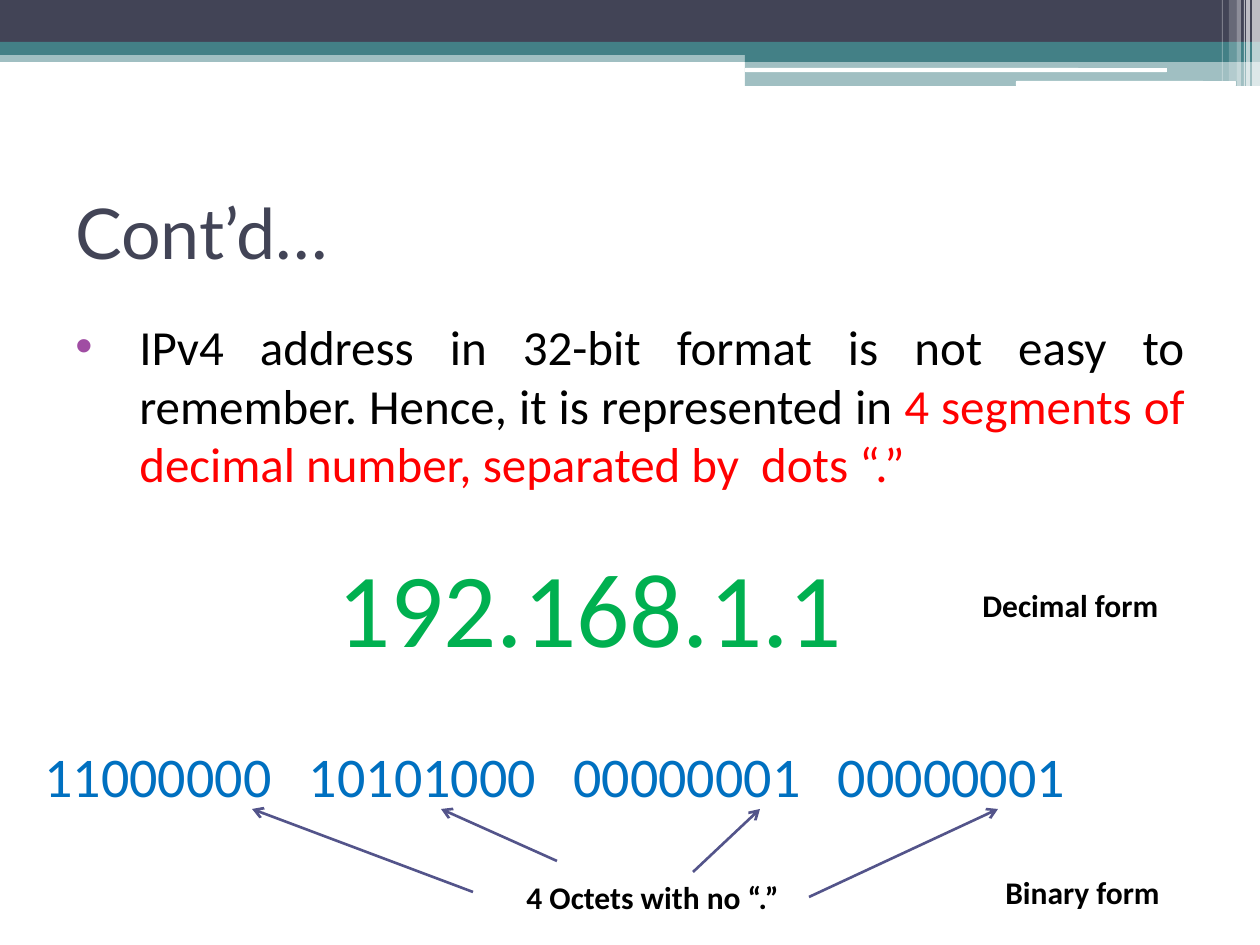
from dataclasses import dataclass, field

import pptx
import pptx.dml.color
import pptx.enum.shapes
import pptx.enum.text
import pptx.oxml.ns
import pptx.util
from lxml import etree

RGB = pptx.dml.color.RGBColor
KIND = pptx.enum.shapes.MSO_SHAPE
ALIGN = pptx.enum.text.PP_ALIGN
ANCHOR = pptx.enum.text.MSO_ANCHOR
FIT = pptx.enum.text.MSO_AUTO_SIZE
qn = pptx.oxml.ns.qn

SCALE = 914400 / 126  # EMU in one px

SLATE = RGB(0x42, 0x44, 0x56)
TEAL = RGB(0x43, 0x80, 0x86)
WHITE = RGB(0xFF, 0xFF, 0xFF)
BLACK = RGB(0x00, 0x00, 0x00)
RED = RGB(0xFF, 0x00, 0x00)
GREEN = RGB(0x00, 0xB0, 0x50)
BLUE = RGB(0x00, 0x70, 0xC0)
INDIGO = RGB(0x53, 0x54, 0x8A)


@dataclass
class Band:
    box: tuple
    color: RGB
    alpha: int = 100
    kind: int = KIND.RECTANGLE


@dataclass
class Label:
    box: tuple
    runs: list  # pairs of text and colour
    font: dict
    frame: dict = field(default_factory=dict)


def emu(*vals: float) -> list:
    return [pptx.util.Emu(round(v * SCALE)) for v in vals]


def sub(node, tag: str, **attrs):
    return etree.SubElement(node, qn(tag), **attrs)


def apply(obj, vals: dict) -> None:
    for name, val in vals.items():
        setattr(obj, name, val)


def face(size: int, name: str = "Calibri", bold: bool = False) -> dict:
    return {"size": pptx.util.Pt(size), "name": name, "bold": bold}


def draw_band(slide, band: Band) -> None:
    shape = slide.shapes.add_shape(band.kind, *emu(*band.box))
    shape.shadow.inherit = False
    shape.line.fill.background()
    shape.fill.solid()
    shape.fill.fore_color.rgb = band.color
    if band.alpha < 100:
        tint = shape.fill._xPr.find(qn("a:solidFill"))[0]
        sub(tint, "a:alpha", val=str(band.alpha * 1000))


def draw_label(slide, label: Label):
    shape = slide.shapes.add_textbox(*emu(*label.box))
    apply(shape.text_frame, label.frame)
    para = shape.text_frame.paragraphs[0]
    for text, color in label.runs:
        run = para.add_run()
        run.text = text
        apply(run.font, label.font)
        run.font.color.rgb = color
    return shape


def draw_arrow(slide, start: tuple, end: tuple):
    line = slide.shapes.add_connector(
        pptx.enum.shapes.MSO_CONNECTOR.STRAIGHT, *emu(*start, *end))
    line.line.color.rgb = INDIGO
    line.line.width = pptx.util.Pt(1.5)
    sub(line.line._get_or_add_ln(), "a:tailEnd", type="arrow")
    sub(line._element.spPr, "a:effectLst")
    return line


WRAP = {"word_wrap": True}
GROW = {"word_wrap": False, "auto_size": FIT.SHAPE_TO_FIT_TEXT}
NOTE = face(18, bold=True)

BANDS = [
    Band((0, 50, 1260, 12), TEAL, 50),
    Band((0, 0, 1260, 43), SLATE),
    Band((0, 42, 1260, 13), TEAL),
    Band((745, 49, 515, 13), TEAL),
    Band((745, 61, 515, 25), TEAL, 50),
    Band((745, 68, 422, 4), WHITE, kind=KIND.ROUNDED_RECTANGLE),
    Band((1016, 81, 220, 5), WHITE, kind=KIND.ROUNDED_RECTANGLE),
]
# Upright bars: left, width, height, opacity
BARS = [(1252, 8, 86, 65), (1246, 4, 86, 65), (1244, 1, 86, 60),
        (1237, 4, 86, 40), (1229, 8, 81, 20), (1222, 1, 81, 30)]

TITLE = Label((63, 158, 1134, 147), [("Cont’d…", SLATE)], face(40, "Lato"),
              WRAP | {"vertical_anchor": ANCHOR.MIDDLE})
BODY = Label(
    (63, 310, 1134, 596),
    [("IPv4 address in 32-bit format is not easy to remember. "
      "Hence, it is represented in ", BLACK),
     ("4 segments of decimal number, separated by  dots “.”", RED)],
    face(28), WRAP)
OCTETS = Label((32, 735, 1055, 81),
               [("11000000\t10101000\t00000001\t00000001", BLUE)],
               face(32), WRAP)
HUB = Label((514, 872, 295, 50), [("4 Octets with no “.”", BLACK)], NOTE, GROW)
LABELS = [
    Label((325, 536, 561, 140), [("192.168.1.1", GREEN)], face(60), WRAP),
    Label((970, 580, 209, 50), [("Decimal form", BLACK)], NOTE, GROW),
    Label((993, 867, 188, 50), [("Binary form", BLACK)], NOTE, GROW),
]
TIP = 809  # height at which all arrows end
ARROWS = [((473, 892), 252), ((557, 861), 441), ((693, 872), 760)]
STEP = 264.5  # from one octet to the next


def main() -> None:
    deck = pptx.Presentation()
    deck.slide_width, deck.slide_height = emu(1260, 945)
    slide = deck.slides.add_slide(deck.slide_layouts[6])

    # Header
    for band in BANDS:
        draw_band(slide, band)
    for left, width, height, alpha in BARS:
        draw_band(slide, Band((left, 0, width, height), WHITE, alpha))

    # Title and bullet
    draw_label(slide, TITLE)
    para = draw_label(slide, BODY).text_frame.paragraphs[0]
    apply(para, {"alignment": ALIGN.JUSTIFY, "space_before": pptx.util.Pt(3)})
    props = para._p.get_or_add_pPr()
    hang = emu(64)[0]
    props.set("marL", str(hang))
    props.set("indent", str(-hang))
    sub(sub(props, "a:buClr"), "a:srgbClr", val="A04DA3")
    sub(props, "a:buFont", typeface="Arial")
    sub(props, "a:buChar", char="•")

    # Address in both forms
    for label in LABELS:
        draw_label(slide, label)
    para = draw_label(slide, OCTETS).text_frame.paragraphs[0]
    tabs = sub(para._p.get_or_add_pPr(), "a:tabLst")
    for i in range(1, 4):
        sub(tabs, "a:tab", pos=str(emu(STEP * i)[0]), algn="l")

    # Arrows to the octets
    hub = draw_label(slide, HUB)
    for start, end in ARROWS:
        draw_arrow(slide, start, (end, TIP))
    draw_arrow(slide, (809, 897), (998, TIP)).begin_connect(hub, 3)

    deck.save("out.pptx")


if __name__ == "__main__":
    main()
